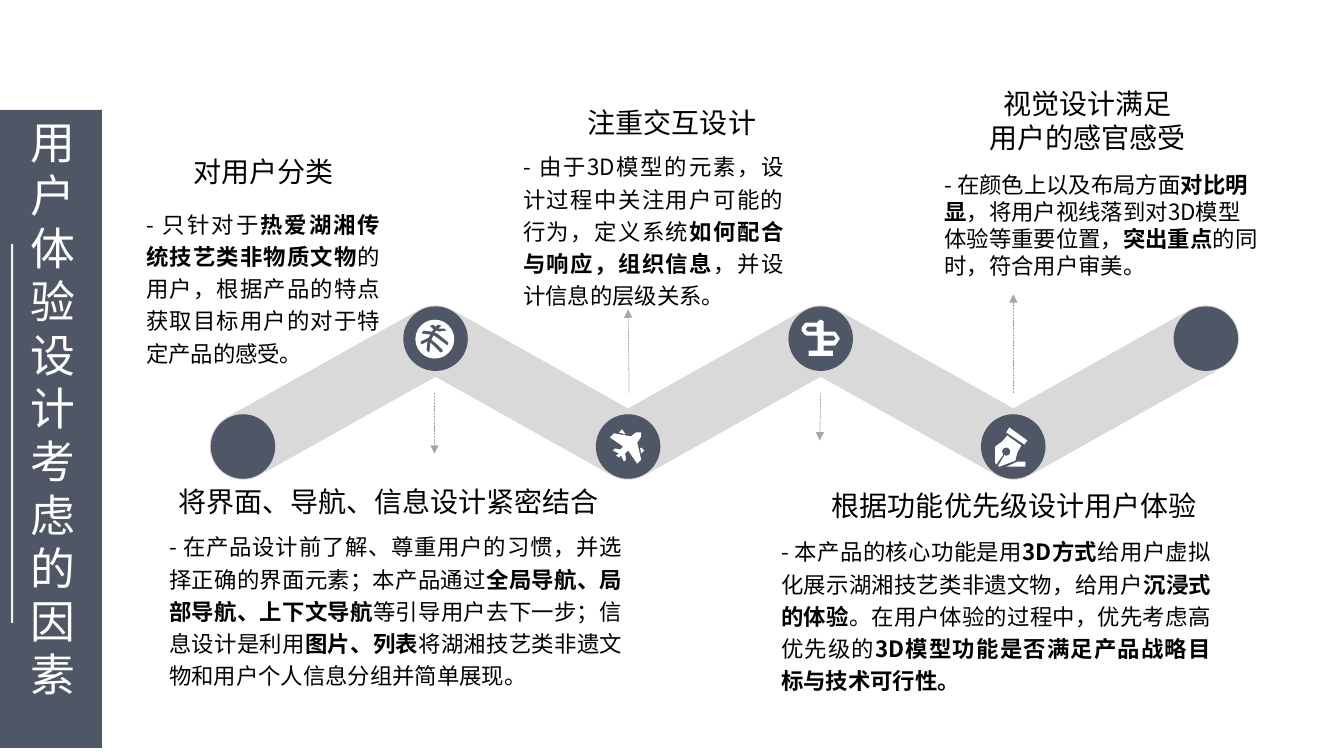
from dataclasses import dataclass
from math import atan2, cos, degrees, radians, sin

from lxml.etree import SubElement
from pptx import Presentation
from pptx.dml.color import RGBColor as Rgb
from pptx.enum.dml import MSO_LINE as Dash
from pptx.enum.shapes import MSO_CONNECTOR as Link, MSO_SHAPE as Kind
from pptx.enum.text import MSO_ANCHOR as Anchor, MSO_AUTO_SIZE as Fit, PP_ALIGN as Align
from pptx.oxml.ns import qn
from pptx.util import Pt

PX = 9144  # 100 px to the inch
Point = tuple[float, float]


@dataclass(frozen=True)
class Theme:
    font: str = "Noto Sans CJK SC"
    slate: str = "4F5666"
    band: str = "D9D9D9"
    rule: str = "F2F2F2"
    arrow: str = "A6A6A6"
    ink: str = "000000"
    white: str = "FFFFFF"
    title: int = 32
    head: int = 20
    body: int = 16


@dataclass(frozen=True)
class Label:
    """Text in a box; parts between asterisks are bold."""
    box: tuple[int, int, int, int]
    text: str
    size: int
    align: Align = Align.CENTER
    lead: float = 1.2
    wrap: bool = True
    grow: bool = True


@dataclass(frozen=True)
class Arrow:
    start: tuple[int, int]
    end: tuple[int, int]


THEME = Theme()
HIGH, LOW, RADIUS = 336, 443, 33
FIRST, STEP = 241, 191
NODES = [(FIRST + i * STEP, HIGH if i % 2 else LOW) for i in range(6)]

LABELS = [
    Label((927, 165, 330, 118), "- 在颜色上以及布局方面*对比明显*，将用户视线落到对3D模型体验等重要位置，"
          "*突出重点*的同时，符合用户审美。", THEME.body, Align.LEFT, 1.0),
    Label((959, 81, 240, 77), "视觉设计满足\n用户的感官感受", THEME.head, lead=1.0),
    Label((182, 142, 159, 50), "对用户分类", THEME.head, wrap=False),
    Label((135, 199, 252, 180), "- 只针对于*热爱湖湘传统技艺类非物质文物*的用户，根据产品的特点"
          "获取目标用户的对于特定产品的感受。", THEME.body, Align.JUSTIFY, grow=False),
    Label((573, 93, 187, 50), "注重交互设计", THEME.head, wrap=False),
    Label((509, 142, 278, 171), "- 由于3D模型的元素，设计过程中关注用户可能的行为，定义系统"
          "*如何配合与响应，组织信息*，并设计信息的层级关系。", THEME.body, Align.JUSTIFY),
    Label((801, 473, 410, 50), "根据功能优先级设计用户体验", THEME.head),
    Label((765, 524, 446, 171), "- 本产品的核心功能是用*3D方式*给用户虚拟化展示湖湘技艺类非遗文物，给用户"
          "*沉浸式的体验*。在用户体验的过程中，优先考虑高优先级的"
          "*3D模型功能是否满足产品战略目标与技术可行性。*", THEME.body, Align.JUSTIFY),
    Label((158, 469, 455, 50), "将界面、导航、信息设计紧密结合", THEME.head),
    Label((158, 519, 469, 181), "- 在产品设计前了解、尊重用户的习惯，并选择正确的界面元素；本产品通过"
          "*全局导航、局部导航、上下文导航*等引导用户去下一步；信息设计是利用*图片、列表*"
          "将湖湘技艺类非遗文物和用户个人信息分组并简单展现。", THEME.body, Align.JUSTIFY, grow=False),
]
ARROWS = [Arrow((431, 390), (431, 450)), Arrow((814, 390), (813, 437)),
          Arrow((1005, 390), (1005, 292)), Arrow((624, 390), (623, 307))]


def arc(mid: Point, radius: float, start: float, end: float) -> list[Point]:
    """Points on an arc; angles in degrees, clockwise from the right."""
    turns = [radians(start + (end - start) * i / 24) for i in range(25)]
    return [(mid[0] + radius * cos(t), mid[1] + radius * sin(t)) for t in turns]


def ribbon() -> list[Point]:
    """Outline of the zigzag band with round joins and ends."""
    tilt = degrees(atan2(LOW - HIGH, STEP))
    inner = RADIUS / cos(radians(tilt))

    def side(nodes: list[Point], up: bool) -> list[Point]:
        out: list[Point] = []
        for x, y in nodes:
            mid = 270 if up else 90
            if (y == HIGH) == up:
                out += arc((x, y), RADIUS, mid - tilt, mid + tilt)
            else:
                out.append((x, y - inner if up else y + inner))
        return out

    return (arc(NODES[0], RADIUS, 90 - tilt, 270 - tilt) + side(NODES[1:-1], True)
            + arc(NODES[-1], RADIUS, -90 - tilt, 90 - tilt) + side(NODES[-2:0:-1], False))


GLOBE = [
    arc((431.3, 336.5), 19.3, 0, 360),
    [(420, 328), (418, 331), (427, 332), (425, 335), (417, 339), (418, 342), (424, 339),
     (423, 347), (425, 350), (426, 349), (427, 340), (432, 345), (437, 350), (439, 349),
     (439, 347), (434, 342), (428, 337), (430, 333), (432, 334), (444, 343), (445, 340),
     (434, 331), (431, 330), (433, 328), (435, 329), (443, 328), (441, 326), (436, 326),
     (435, 326), (438, 323), (434, 322), (432, 324), (430, 322), (427, 323), (426, 323),
     (430, 327), (428, 329)],
]
SIGN = [
    [(810, 324), (801, 324), (799, 327), (801, 329), (810, 329)],
    [(817, 329), (828, 329), (829, 330), (833, 336), (829, 342), (828, 343), (817, 343),
     (817, 348), (826, 348), (826, 353), (802, 353), (802, 348), (811, 348), (811, 333),
     (800, 333), (798, 332), (795, 328), (795, 325), (798, 321), (800, 320), (811, 320),
     (811, 319), (814, 317), (817, 319)],
    [(827, 333), (817, 333), (817, 338), (827, 338), (829, 336)],
]
PLANE = [
    [(636, 429), (636, 433), (633, 438), (632, 439), (636, 456), (632, 460), (623, 447),
     (620, 450), (621, 456), (619, 458), (616, 452), (614, 454), (611, 452), (614, 450),
     (608, 447), (610, 445), (615, 446), (618, 443), (605, 434), (609, 430), (626, 433),
     (627, 432), (631, 429)],
    [(639, 447), (636, 444), (635, 445), (636, 450)],
    [(617, 426), (614, 429), (620, 431), (620, 430)],
]
PEN = [
    [(988, 461), (987, 459), (987, 443), (994, 438), (999, 432), (1013, 442), (1009, 449),
     (1007, 457), (991, 463), (990, 462), (996, 452), *arc((998, 448), 4, 120, -210),
     (995, 451)],
    [(998, 463), (1017, 463), (1017, 458), (1009, 458)],
    [(1016, 441), (1019, 437), (1001, 424), (998, 429)],
]


def paint(shape, color: str) -> None:
    shape.shadow.inherit = False
    shape.fill.solid()
    shape.fill.fore_color.rgb = Rgb.from_string(color)
    shape.line.fill.background()


def block(slide, kind: Kind, box: tuple[int, int, int, int], color: str):
    shape = slide.shapes.add_shape(kind, *(n * PX for n in box))
    paint(shape, color)
    return shape


def draw(slide, loops: list[list[Point]], color: str) -> None:
    """Draw closed loops as one shape; a loop inside another is a hole."""
    loops = [[(round(x * PX), round(y * PX)) for x, y in loop] for loop in loops]
    pen = slide.shapes.build_freeform(*loops[0][0])
    for i, loop in enumerate(loops):
        if i:
            pen.move_to(*loop[0])
        pen.add_line_segments(loop[1:], close=True)
    paint(pen.convert_to_shape(), color)


def write(frame, text: str, *, size: int, color: str = THEME.ink, align: Align = Align.CENTER,
          lead: float | None = None, gap: int = 0) -> None:
    for i, line in enumerate(text.split("\n")):
        para = frame.add_paragraph() if i else frame.paragraphs[0]
        para.alignment, para.line_spacing = align, lead
        for j, part in enumerate(line.split("*")):
            if not part:
                continue
            run = para.add_run()
            run.text = part
            font = run.font
            font.name, font.size, font.bold = THEME.font, Pt(size), j % 2 == 1
            font.color.rgb = Rgb.from_string(color)
            props = run._r.get_or_add_rPr()
            SubElement(props, qn("a:ea"), typeface=THEME.font)
            if gap:
                props.set("spc", str(gap * 100))


def place(slide, label: Label) -> None:
    frame = slide.shapes.add_textbox(*(n * PX for n in label.box)).text_frame
    frame.word_wrap = label.wrap
    frame.auto_size = Fit.SHAPE_TO_FIT_TEXT if label.grow else Fit.NONE
    write(frame, label.text, size=label.size, align=label.align, lead=label.lead)


def point(slide, arrow: Arrow) -> None:
    line = slide.shapes.add_connector(
        Link.STRAIGHT, *(n * PX for n in arrow.start + arrow.end))
    line.line.color.rgb = Rgb.from_string(THEME.arrow)
    line.line.width = Pt(0.5)
    line.line.dash_style = Dash.SQUARE_DOT
    SubElement(line.line._get_or_add_ln(), qn("a:tailEnd"), type="triangle")
    SubElement(line._element.spPr, qn("a:effectLst"))


def main() -> None:
    deck = Presentation()
    deck.slide_width, deck.slide_height = 1333 * PX, 750 * PX
    slide = deck.slides.add_slide(deck.slide_layouts[6])

    frame = block(slide, Kind.RECTANGLE, (0, 109, 101, 633), THEME.slate).text_frame
    frame.vertical_anchor = Anchor.MIDDLE
    frame._txBody.bodyPr.set("vert", "eaVert")
    write(frame, "用户体验设计考虑的因素", size=THEME.title, color=THEME.white, gap=6)
    block(slide, Kind.RECTANGLE, (11, 242, 2, 376), THEME.rule)

    draw(slide, [ribbon()], THEME.band)
    for x, y in NODES:
        block(slide, Kind.OVAL, (x - 32, y - 32, 64, 64), THEME.slate)
    for icon in (GLOBE, SIGN, PLANE, PEN):
        draw(slide, icon, THEME.white)
    for arrow in ARROWS:
        point(slide, arrow)
    for label in LABELS:
        place(slide, label)
    deck.save("out.pptx")


if __name__ == "__main__":
    main()
